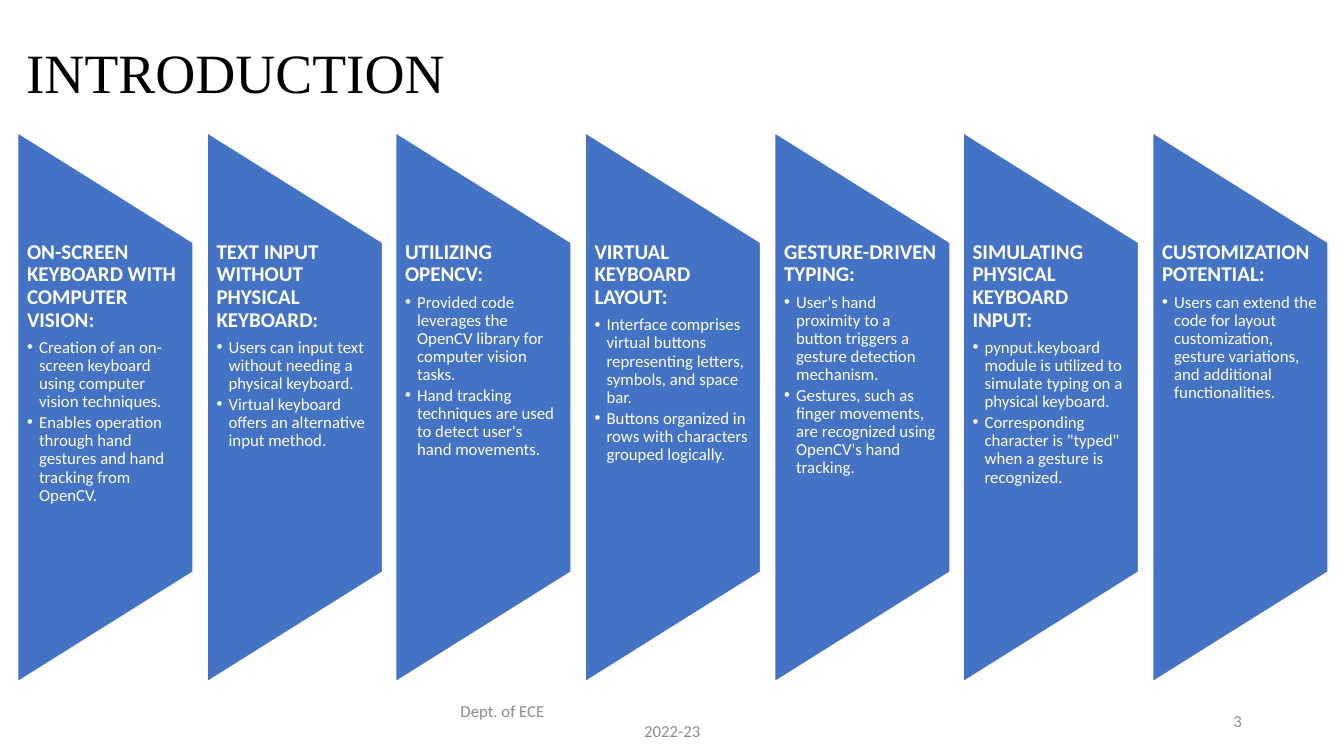
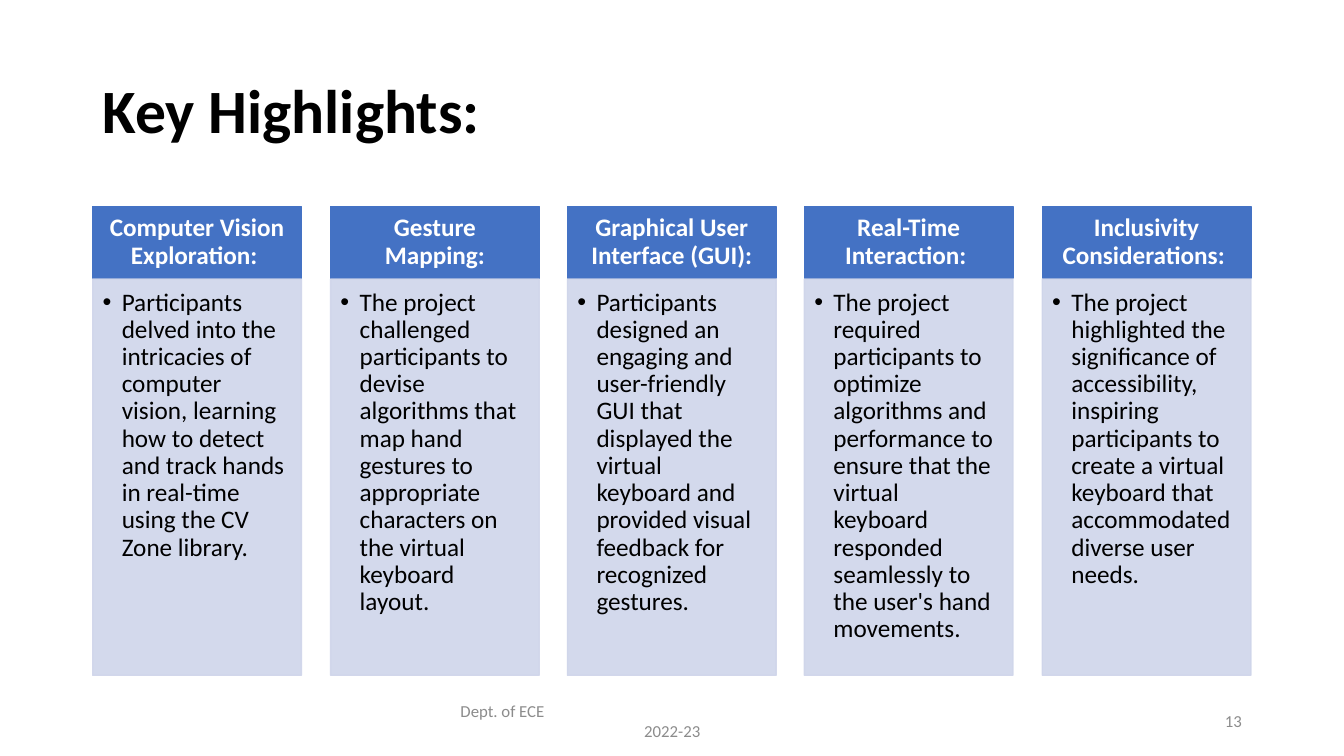
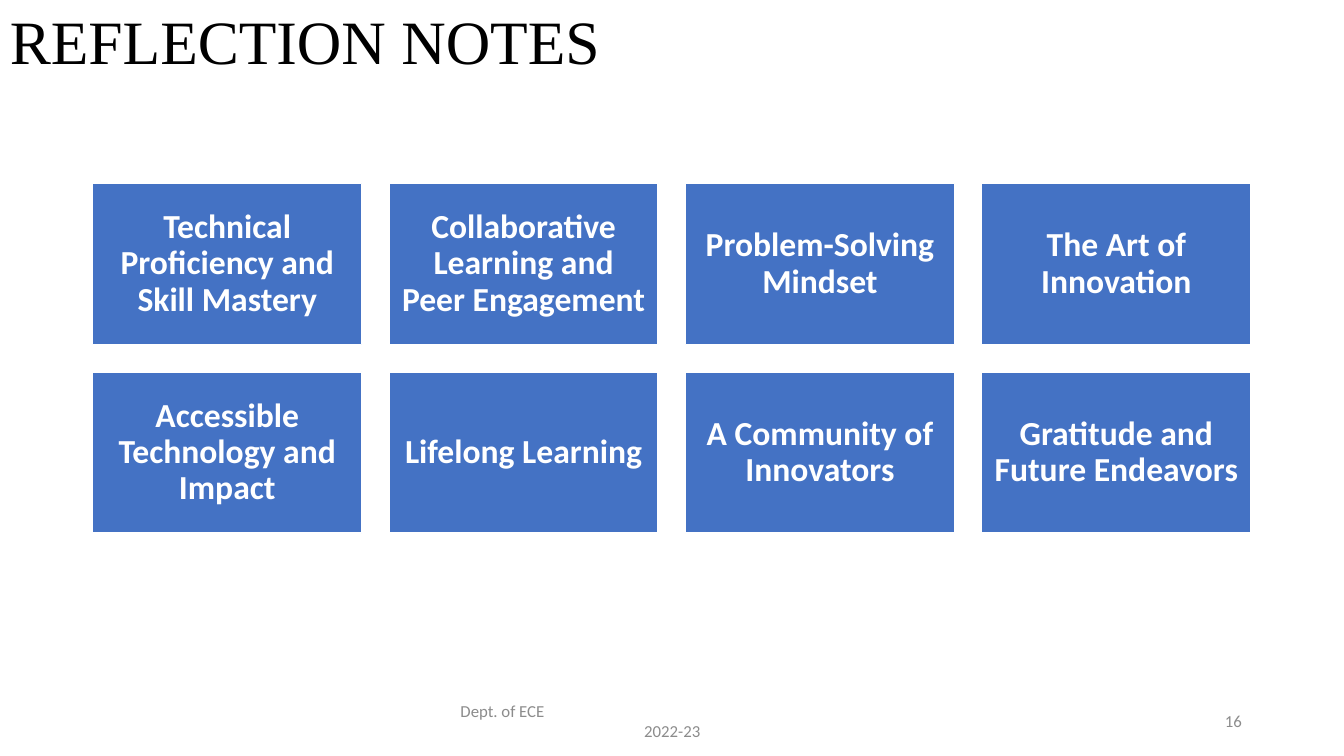
from lxml.etree import SubElement
from pptx import Presentation
from pptx.dml.color import RGBColor
from pptx.enum.shapes import MSO_SHAPE
from pptx.enum.text import MSO_ANCHOR, PP_ALIGN
from pptx.oxml.ns import qn
from pptx.util import Emu, Pt

EMU_PER_PX = 9144  # 100 px to the inch
SLIDE_WIDTH, SLIDE_HEIGHT = Emu(12192000), Emu(6858000)

BLUE = RGBColor(0x44, 0x72, 0xC4)
PALE_BLUE = RGBColor(0xCF, 0xD5, 0xEA)
GREY = RGBColor(0x8C, 0x8C, 0x8C)
BLACK = RGBColor(0, 0, 0)
WHITE = RGBColor(0xFF, 0xFF, 0xFF)

SANS, SERIF = "Calibri", "Times New Roman"
GRID_LEFT, GRID_RIGHT = 92, 1241

PILLARS = [
    ("ON-SCREEN KEYBOARD WITH COMPUTER VISION:", [
        "Creation of an on-screen keyboard using computer vision techniques.",
        "Enables operation through hand gestures and hand tracking from OpenCV."]),
    ("TEXT INPUT WITHOUT PHYSICAL KEYBOARD:", [
        "Users can input text without needing a physical keyboard.",
        "Virtual keyboard offers an alternative input method."]),
    ("UTILIZING OPENCV:", [
        "Provided code leverages the OpenCV library for computer vision tasks.",
        "Hand tracking techniques are used to detect user's hand movements."]),
    ("VIRTUAL KEYBOARD LAYOUT:", [
        "Interface comprises virtual buttons representing letters, symbols, and space bar.",
        "Buttons organized in rows with characters grouped logically."]),
    ("GESTURE-DRIVEN TYPING:", [
        "User's hand proximity to a button triggers a gesture detection mechanism.",
        "Gestures, such as finger movements, are recognized using OpenCV's hand tracking."]),
    ("SIMULATING PHYSICAL KEYBOARD INPUT:", [
        "pynput.keyboard module is utilized to simulate typing on a physical keyboard.",
        "Corresponding character is \"typed\" when a gesture is recognized."]),
    ("CUSTOMIZATION POTENTIAL:", [
        "Users can extend the code for layout customization, gesture variations, "
        "and additional functionalities."]),
]

HIGHLIGHTS = [
    ("Computer Vision Exploration: ",
     "Participants delved into the intricacies of computer vision, learning how to "
     "detect and track hands in real-time using the CV Zone library."),
    ("Gesture Mapping:",
     "The project challenged participants to devise algorithms that map hand gestures "
     "to appropriate characters on the virtual keyboard layout."),
    ("Graphical User Interface (GUI):",
     "Participants designed an engaging and user-friendly GUI that displayed the "
     "virtual keyboard and provided visual feedback for recognized gestures."),
    ("Real-Time Interaction: ",
     "The project required participants to optimize algorithms and performance to "
     "ensure that the virtual keyboard responded seamlessly to the user's hand movements."),
    ("Inclusivity Considerations: ",
     "The project highlighted the significance of accessibility, inspiring participants "
     "to create a virtual keyboard that accommodated diverse user needs."),
]

REFLECTIONS = [
    "Technical Proficiency and Skill Mastery",
    "Collaborative Learning and Peer Engagement",
    "Problem-Solving Mindset",
    "The Art of Innovation",
    "Accessible Technology and Impact",
    "Lifelong Learning",
    "A Community of Innovators",
    "Gratitude and Future Endeavors",
]


def px(value):
    return Emu(value * EMU_PER_PX)


def column_lefts(left, right, width, count):
    """Left edges of equal columns spread from left to right."""
    pitch = (right - left - width) / (count - 1)
    return [round(left + index * pitch) for index in range(count)]


# Text
def set_frame(shape, insets=(10, 5, 10, 5), anchor=MSO_ANCHOR.TOP):
    frame = shape.text_frame
    frame.word_wrap = True
    frame.vertical_anchor = anchor
    (frame.margin_left, frame.margin_top,
     frame.margin_right, frame.margin_bottom) = map(px, insets)
    return frame


def write(paragraph, text, size, color, font=SANS, bold=False,
          align=PP_ALIGN.LEFT, spacing=0.9, after=0):
    paragraph.alignment = align
    paragraph.line_spacing = spacing
    paragraph.space_after = Pt(after)
    run = paragraph.add_run()
    run.text = text
    run.font.name = font
    run.font.size = Pt(size)
    run.font.bold = bold
    run.font.color.rgb = color


def indent(paragraph, margin, first_line=0):
    properties = paragraph._p.get_or_add_pPr()
    properties.set("marL", str(px(margin)))
    properties.set("indent", str(px(first_line)))
    return properties


def write_bullet(paragraph, text, size, color, hanging):
    write(paragraph, text, size, color, after=round(size * 0.15, 1))
    properties = indent(paragraph, hanging, -hanging)
    SubElement(properties, qn("a:buFont"), typeface="Arial")
    SubElement(properties, qn("a:buChar"), char="•")


def add_text_box(slide, left, top, width, height, **frame_options):
    box = slide.shapes.add_textbox(px(left), px(top), px(width), px(height))
    return set_frame(box, **frame_options)


# Shapes
def add_block(slide, left, top, width, height, fill, line,
              kind=MSO_SHAPE.RECTANGLE):
    shape = slide.shapes.add_shape(kind, px(left), px(top), px(width), px(height))
    shape.shadow.inherit = False
    shape.fill.solid()
    shape.fill.fore_color.rgb = fill
    shape.line.color.rgb = line
    shape.line.width = Pt(1)
    return shape


def set_opacity(shape, percent):
    for color in shape._element.spPr.iter(qn("a:srgbClr")):
        SubElement(color, qn("a:alpha"), val=str(percent * 1000))


def add_labelled_block(slide, left, top, width, height, text, size, insets, line):
    block = add_block(slide, left, top, width, height, BLUE, line)
    frame = set_frame(block, insets, MSO_ANCHOR.MIDDLE)
    write(frame.paragraphs[0], text, size, WHITE, bold=True, align=PP_ALIGN.CENTER)


def add_pillar(slide, left, heading, bullets):
    top, width, height = 132, 174, 545
    # The preset lies on its side, so it is placed about the pillar's centre
    shift = (height - width) // 2
    pillar = add_block(slide, left - shift, top + shift, height, width, BLUE, WHITE,
                       MSO_SHAPE.FLOWCHART_MANUAL_OPERATION)
    pillar.rotation = 270
    frame = add_text_box(slide, left, 239, width, 327, insets=(10, 0, 10, 0))
    write(frame.paragraphs[0], heading, 15, WHITE, bold=True, after=5.25)
    for bullet in bullets:
        write_bullet(frame.add_paragraph(), bullet, 12, WHITE, 12)


def add_highlight(slide, left, heading, detail):
    width = 207
    add_labelled_block(slide, left, 205, width, 71, heading, 18, (14, 8, 14, 8), BLUE)
    body = add_block(slide, left, 277, width, 393, PALE_BLUE, PALE_BLUE)
    set_opacity(body, 90)
    frame = set_frame(body, (10, 10, 14, 16))
    write_bullet(frame.paragraphs[0], detail, 18, BLACK, 19)


# Parts every slide shares
def add_slide(presentation, title, title_box, number, size=44, font=SERIF, bold=False):
    slide = presentation.slides.add_slide(presentation.slide_layouts[6])
    frame = add_text_box(slide, *title_box, anchor=MSO_ANCHOR.MIDDLE)
    write(frame.paragraphs[0], title, size, BLACK, font, bold)

    footer = add_text_box(slide, 442, 695, 450, 40, anchor=MSO_ANCHOR.MIDDLE)
    department = footer.paragraphs[0]
    write(department, "Dept. of ECE", 12, GREY, spacing=1.0)
    indent(department, 5)
    write(footer.add_paragraph(), "2022-23", 12, GREY,
          align=PP_ALIGN.CENTER, spacing=1.0)

    page = add_text_box(slide, 942, 695, 300, 40, anchor=MSO_ANCHOR.MIDDLE)
    write(page.paragraphs[0], str(number), 12, GREY, align=PP_ALIGN.RIGHT, spacing=1.0)
    return slide


# Slides
def build_introduction(presentation):
    slide = add_slide(presentation, "INTRODUCTION", (16, 37, 485, 75), 3, size=39.6)
    lefts = column_lefts(17, 1317, 174, len(PILLARS))
    for left, (heading, bullets) in zip(lefts, PILLARS):
        add_pillar(slide, left, heading, bullets)


def build_highlights(presentation):
    slide = add_slide(presentation, "Key Highlights:", (92, 40, 1150, 145), 13,
                      font=SANS, bold=True)
    lefts = column_lefts(GRID_LEFT, GRID_RIGHT, 207, len(HIGHLIGHTS))
    for left, (heading, detail) in zip(lefts, HIGHLIGHTS):
        add_highlight(slide, left, heading, detail)


def build_reflections(presentation):
    slide = add_slide(presentation, "REFLECTION NOTES", (0, -28, 1150, 145), 16)
    columns, width, height, gap = 4, 267, 160, 27
    lefts = column_lefts(GRID_LEFT, GRID_RIGHT, width, columns)
    for index, text in enumerate(REFLECTIONS):
        row, column = divmod(index, columns)
        add_labelled_block(slide, lefts[column], 182 + row * (height + gap),
                           width, height, text, 24, (10, 10, 10, 10), WHITE)


def main():
    presentation = Presentation()
    presentation.slide_width = SLIDE_WIDTH
    presentation.slide_height = SLIDE_HEIGHT
    build_introduction(presentation)
    build_highlights(presentation)
    build_reflections(presentation)
    presentation.save("out.pptx")


if __name__ == "__main__":
    main()
